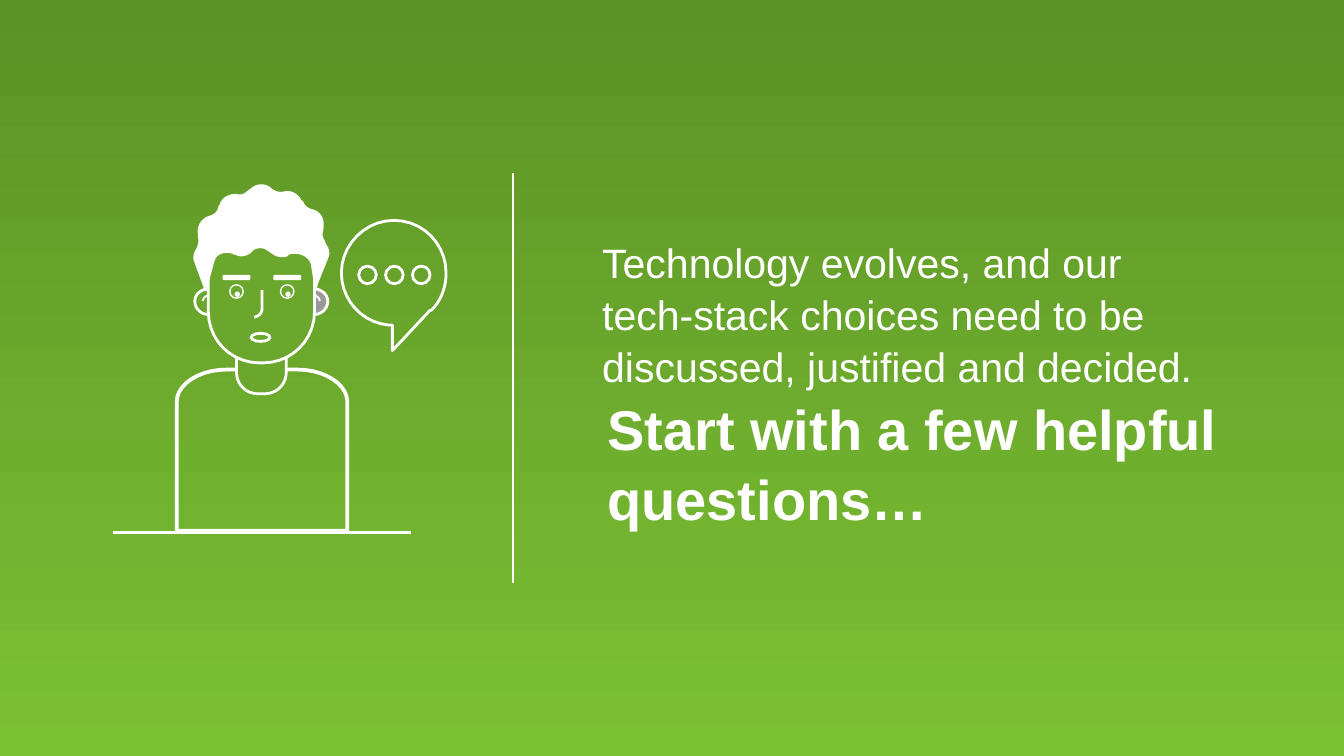
from dataclasses import dataclass
from typing import Optional

from lxml import etree
from pptx import Presentation
from pptx.dml.color import RGBColor
from pptx.enum.shapes import MSO_CONNECTOR, MSO_SHAPE
from pptx.enum.text import MSO_ANCHOR, MSO_AUTO_SIZE, PP_ALIGN
from pptx.oxml.ns import qn
from pptx.util import Pt

STRAIGHT = MSO_CONNECTOR.STRAIGHT
OVAL, ROUNDED = MSO_SHAPE.OVAL, MSO_SHAPE.ROUNDED_RECTANGLE
TOP, LEFT, NO_FIT = MSO_ANCHOR.TOP, PP_ALIGN.LEFT, MSO_AUTO_SIZE.NONE


@dataclass(frozen=True)
class Theme:
    white: str = "FFFFFF"
    skin: str = "6AA72C"
    ear_shade: str = "999A98"
    bg_top: str = "5C9126"
    bg_bottom: str = "7BC233"
    font: str = "Arial"
    body_size: float = 22
    title_size: float = 30
    line_spacing: float = 1.05


@dataclass(frozen=True)
class Outline:
    """Path in points: M and L take one point, C takes three, Z closes."""
    d: str
    fill: Optional[str] = None
    width: float = 1.5
    mirrored: bool = False


@dataclass(frozen=True)
class Preset:
    kind: MSO_SHAPE
    left: float
    top: float
    width: float
    height: float
    fill: Optional[str] = None
    line: float = 0


THEME = Theme()
FACE_AXIS = 140
EYE_GAP = 27.2
DOT_GAP = 14.4
CURVE_STEPS = 10

BODY = ("M 94.7 284.4 L 94.7 215.3 C 94.7 206 106.6 198 121.7 198 L 159.1 198 "
        "C 174.2 198 186.1 206 186.1 215.3 L 186.1 284.4 Z")
EAR = ("M 118.8 161.3 C 118.8 157.7 115.9 154.8 111.6 154.8 "
       "C 108 154.8 104.4 157.7 104.4 161.3 C 104.4 165.6 108 168.5 111.6 168.5 "
       "C 113 168.5 114.5 168.5 115.2 167.8")
EAR_CURL = "M 111.6 158.4 C 110.2 158.4 108.7 159.8 108.7 161.3"
NECK = ("M 141.8 211 L 138.2 211 C 131.8 211 126.7 206 126.7 199.4 L 126.7 188.6 "
        "L 153.4 188.6 L 153.4 199.4 C 153.4 206 148.3 211 141.8 211 Z")
HEAD = ("M 141.1 194.4 L 139 194.4 C 123.8 194.4 111.6 182.2 111.6 167 "
        "L 111.6 146.9 C 111.6 138.2 118.8 131 127.4 131 L 154.1 131 "
        "C 162 131 168.5 137.5 168.5 145.4 L 168.5 167 "
        "C 168.5 182.2 156.2 194.4 141.1 194.4 Z")
NOSE = "M 136.1 169.9 C 138.2 169.9 140.4 167.8 140.4 165.6 L 140.4 155.5"
HAIR_LEFT = ("M 110.2 155.5 L 104.4 139.7 C 103.7 137.5 104.4 135.4 105.8 133.2 "
             "C 106.6 131 107.3 128.9 106.6 127.4 L 106.6 125.3 "
             "C 105.8 121.7 108 118.1 110.9 116.6 L 113 115.9 "
             "C 115.2 115.2 117.4 113 117.4 110.9 L 118.1 110.2 "
             "C 118.8 106.6 122.4 104.4 126 104.4 L 126.7 104.4 "
             "C 128.9 105.1 131 104.4 132.5 103 L 134.6 101.5 "
             "C 137.5 98.6 141.8 98.6 144.7 100.8")
HAIR_RIGHT = ("L 145.4 101.5 C 147.6 103 149.8 103.7 152.6 103 "
              "C 156.2 102.2 159.8 104.4 161.3 108 "
              "L 162 108 C 162.7 110.2 164.2 111.6 166.3 112.3 L 168.5 113 "
              "C 172.1 114.5 173.5 118.1 172.8 122.4 L 172.8 123.1 "
              "C 172.1 125.3 172.1 126.7 173.5 128.9 L 174.2 131 "
              "C 175.7 132.5 176.4 135.4 175.7 137.5 L 169.9 151.9 L 169.2 154.8")
FRINGE = ("L 167 141.1 C 164.9 135.4 157.7 134.6 154.1 136.1 L 154.1 136.8 "
          "C 151.9 137.5 149 137.5 146.9 136.1 L 142.6 133.2 "
          "C 139.7 131.8 136.1 132.5 134.6 134.6 C 132.5 136.8 128.9 137.5 126.7 136.1 "
          "L 126 136.1 C 122.4 133.9 115.9 134.6 114.5 139.7 Z")
BUBBLE = ("M 211 118.1 C 226.8 118.1 239 131 239 146.2 "
          "C 239 154.1 236.2 161.3 231.1 166.3 L 230.4 166.3 L 210.2 187.9 "
          "L 210.2 174.2 L 208.1 174.2 C 193.7 172.8 182.9 160.6 182.9 146.2 "
          "C 182.9 131 195.8 118.1 211 118.1 Z")

OUTLINES = [
    Outline(BODY, width=2),
    Outline(EAR, THEME.ear_shade, mirrored=True),
    Outline(EAR, THEME.skin),
    Outline(NECK, THEME.skin),
    Outline(HEAD, THEME.skin),
    Outline(NOSE),
    Outline(f"{HAIR_LEFT} {HAIR_RIGHT} {FRINGE}", THEME.white, 1),
    Outline(EAR_CURL, width=1),
    Outline(EAR_CURL, width=1, mirrored=True),
    Outline(BUBBLE),
]


def trace(d: str, mirrored: bool) -> list[tuple[float, float]]:
    """Turn a path into points, with its curves sampled evenly."""
    tokens = iter(d.split())

    def point() -> tuple[float, float]:
        x, y = float(next(tokens)), float(next(tokens))
        return (2 * FACE_AXIS - x if mirrored else x), y

    points = []
    for command in tokens:
        if command in "ML":
            points.append(point())
        elif command == "C":
            knots = (points[-1], point(), point(), point())
            for i in range(1, CURVE_STEPS + 1):
                t = i / CURVE_STEPS
                weights = ((1 - t) ** 3, 3 * t * (1 - t) ** 2, 3 * t * t * (1 - t), t ** 3)
                points.append(tuple(sum(w * k[axis] for w, k in zip(weights, knots))
                                    for axis in (0, 1)))
    return points


def style(shape, fill: Optional[str], width: float) -> None:
    shape.shadow.inherit = False
    if fill:
        shape.fill.solid()
        shape.fill.fore_color.rgb = RGBColor.from_string(fill)
    else:
        shape.fill.background()
    if width:
        shape.line.width = Pt(width)
        shape.line.color.rgb = RGBColor.from_string(THEME.white)
    else:
        shape.line.fill.background()


def draw_outline(s, outline: Outline) -> None:
    start, *rest = [(Pt(x), Pt(y)) for x, y in trace(outline.d, outline.mirrored)]
    builder = s.shapes.build_freeform(*start)
    builder.add_line_segments(rest, close=outline.d.endswith("Z"))
    style(builder.convert_to_shape(), outline.fill, outline.width)


def draw_preset(s, p: Preset) -> None:
    box = (Pt(v) for v in (p.left, p.top, p.width, p.height))
    style(s.shapes.add_shape(p.kind, *box), p.fill, p.line)


def draw_line(s, x1: float, y1: float, x2: float, y2: float, width: float) -> None:
    line = s.shapes.add_connector(STRAIGHT, Pt(x1), Pt(y1), Pt(x2), Pt(y2))
    line.line.width = Pt(width)
    line.line.color.rgb = RGBColor.from_string(THEME.white)
    etree.SubElement(line._element.spPr, qn("a:effectLst"))


def fill_placeholder(sp, text: str, left: float, top: float, width: float,
                     height: float, size: float, bold: bool) -> None:
    sp.left, sp.top, sp.width, sp.height = Pt(left), Pt(top), Pt(width), Pt(height)
    tf = sp.text_frame
    tf.text = text
    tf.word_wrap, tf.auto_size, tf.vertical_anchor = True, NO_FIT, TOP
    p = tf.paragraphs[0]
    p.alignment, p.line_spacing, p.space_before = LEFT, THEME.line_spacing, Pt(0)
    p.font.name, p.font.size, p.font.bold = THEME.font, Pt(size), bold
    p.font.color.rgb = RGBColor.from_string(THEME.white)
    pPr = p._p.get_or_add_pPr()
    pPr.set("marL", "0")
    pPr.set("indent", "0")
    pPr.insert_element_before(etree.Element(qn("a:buNone")), "a:tabLst", "a:defRPr", "a:extLst")


def paint_background(s) -> None:
    fill = s.background.fill
    fill.gradient()
    fill.gradient_angle = 270
    for stop, color in zip(fill.gradient_stops, (THEME.bg_top, THEME.bg_bottom)):
        stop.color.rgb = RGBColor.from_string(color)


def main() -> None:
    prs = Presentation()
    prs.slide_width, prs.slide_height = Pt(720), Pt(405)
    s = prs.slides.add_slide(prs.slide_layouts[1])
    paint_background(s)
    for outline in OUTLINES:
        draw_outline(s, outline)
    for dx in (0, EYE_GAP):
        draw_preset(s, Preset(ROUNDED, 119.5 + dx, 147.6, 14.4, 2.2, THEME.white, 0.5))
        draw_preset(s, Preset(OVAL, 123.1 + dx, 152.6, 7.2, 7.2, line=0.75))
        draw_preset(s, Preset(OVAL, 125.7 + dx, 156.2, 2.9, 2.9, THEME.white))
    draw_preset(s, Preset(OVAL, 134.6, 178.6, 10.1, 4.3, THEME.skin, 1.5))
    for i in range(3):
        draw_preset(s, Preset(OVAL, 192.2 + i * DOT_GAP, 142.6, 9.4, 9.4, line=1.5))
    draw_line(s, 60.5, 285.1, 220.3, 285.1, 1.5)
    draw_line(s, 275, 92.9, 275, 312.5, 1.25)
    fill_placeholder(s.placeholders[1], "Technology evolves, and our tech-stack choices "
                     "need to be discussed, justified and decided.",
                     315.4, 122.4, 344.2, 87.1, THEME.body_size, False)
    fill_placeholder(s.shapes.title, "Start with a few helpful questions…",
                     318.2, 205.9, 344.2, 79.9, THEME.title_size, True)
    prs.save("out.pptx")


if __name__ == "__main__":
    main()
